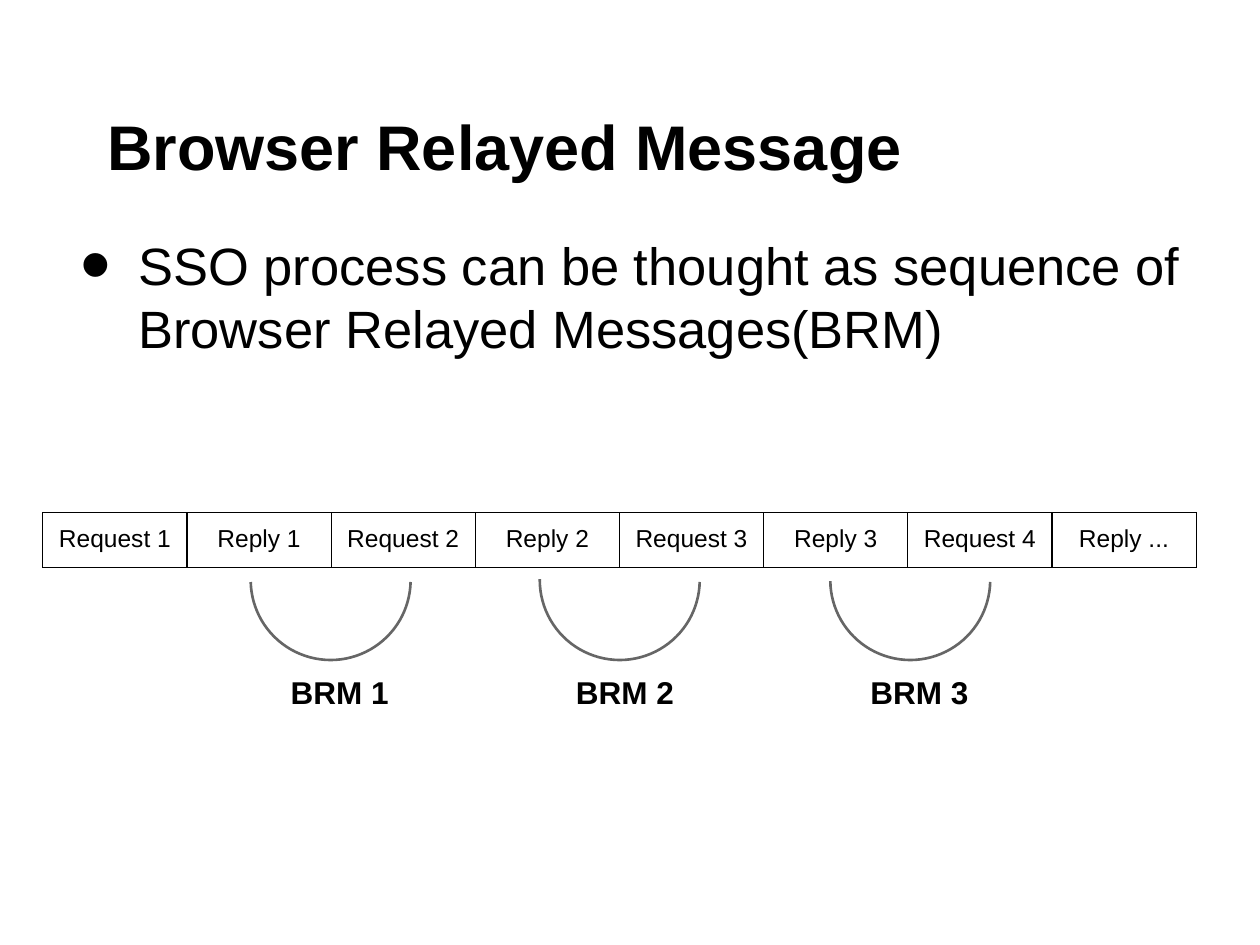
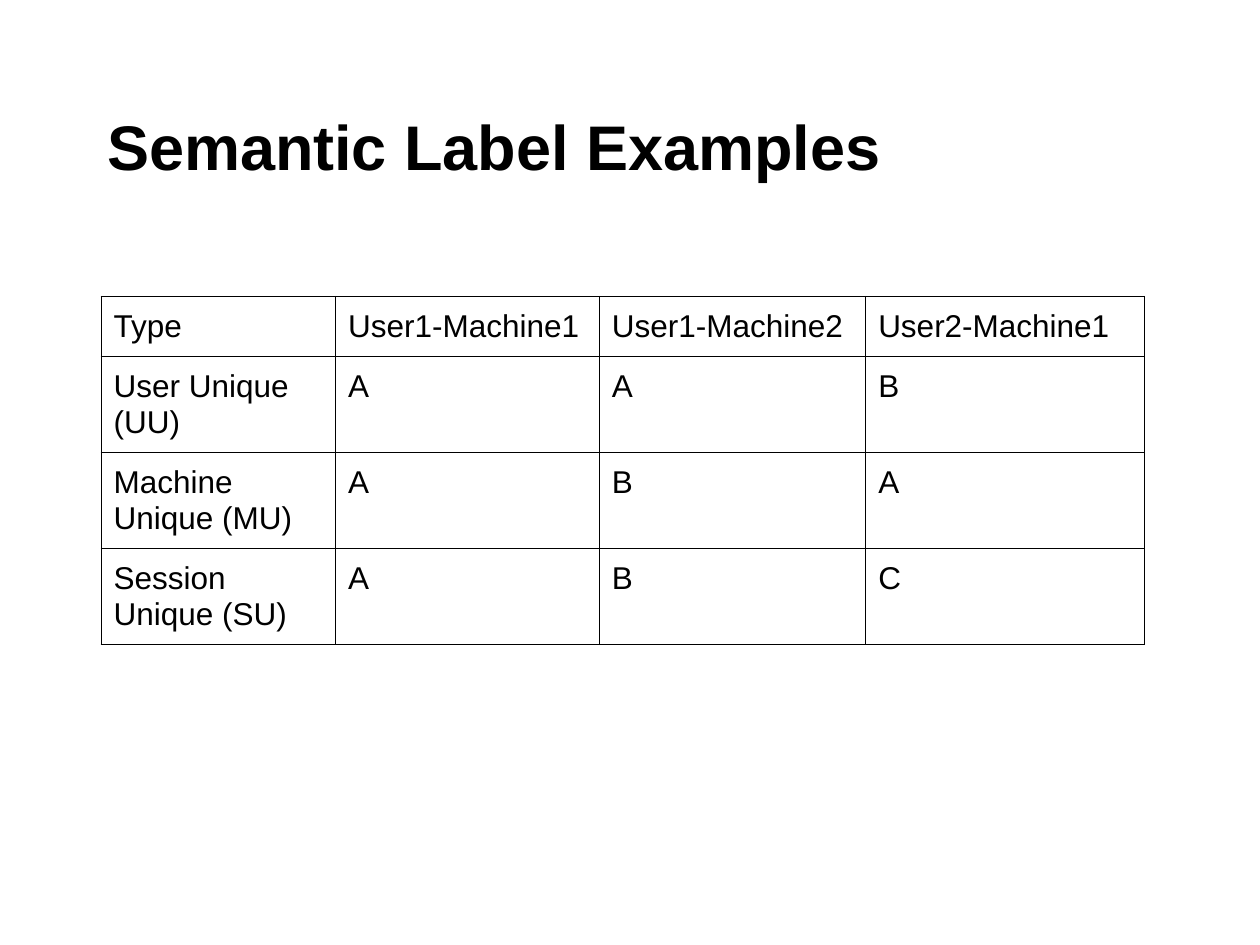
import pptx
import pptx.util
import pptx.oxml
import pptx.oxml.ns
import pptx.dml.color
import pptx.enum.text
import pptx.enum.shapes

Pt = pptx.util.Pt
ALIGN = pptx.enum.text.PP_ALIGN
BLACK = pptx.dml.color.RGBColor(0, 0, 0)
GREY = pptx.dml.color.RGBColor(0x66, 0x66, 0x66)
NONE = pptx.enum.text.MSO_AUTO_SIZE.NONE

THEME = {
    "font": "Arial",
    "ink": BLACK,
    "arc": GREY,
    "title": {"size": Pt(36), "bold": True},
    "body": {"size": Pt(30), "bold": False},
    "label": {"size": Pt(18), "bold": True},
    "cell": {"size": Pt(18), "bold": False},
    "small": {"size": Pt(14), "bold": False},
    "inset": {f"margin_{side}": Pt(7.2) for side in ("left", "top", "right", "bottom")},
}


def write(box, text, style, align=ALIGN.LEFT):
    for name, value in THEME["inset"].items():
        setattr(box, name, value)
    box.word_wrap = True
    para = box.paragraphs[0]
    para.alignment = align
    run = para.add_run()
    run.text = text
    form = {"name": THEME["font"], **THEME[style]}
    for name, value in form.items():
        setattr(run.font, name, value)
    run.font.color.rgb = THEME["ink"]
    return para


def grid(slide, rows, left, top, widths, heights, style, align=ALIGN.LEFT):
    frame = slide.shapes.add_table(
        len(rows), len(widths), Pt(left), Pt(top), Pt(sum(widths)), Pt(sum(heights)))
    table = frame.table
    table.first_row = table.horz_banding = False
    for col, width in zip(table.columns, widths):
        col.width = Pt(width)
    for row, height, words in zip(table.rows, heights, rows):
        row.height = Pt(height)
        for cell, word in zip(row.cells, words):
            for name, value in THEME["inset"].items():
                setattr(cell, name, value)
            write(cell.text_frame, word, style, align)
            cell.fill.background()
            props = cell._tc.get_or_add_tcPr()
            for spot, side in enumerate("LRTB"):
                props.insert(spot, pptx.oxml.parse_xml(
                    f'<a:ln{side} {pptx.oxml.ns.nsdecls("a")} w="{Pt(0.75)}"><a:solidFill>'
                    f'<a:srgbClr val="{THEME["ink"]}"/></a:solidFill></a:ln{side}>'))


deck = pptx.Presentation()
deck.slide_width, deck.slide_height = Pt(720), Pt(540)

slides = []
for text in ("Browser Relayed Message", "Semantic Label Examples"):
    slide = deck.slides.add_slide(deck.slide_layouts[5])
    title = slide.shapes.title
    place = {"left": Pt(36), "top": Pt(21.6), "width": Pt(648), "height": Pt(90)}
    for name, value in place.items():
        setattr(title, name, value)
    frame = title.text_frame
    frame.auto_size = NONE
    frame.vertical_anchor = pptx.enum.text.MSO_ANCHOR.BOTTOM
    para = write(frame, text, "title")
    props = para._p.get_or_add_pPr()
    props.set("marL", "0")
    props.set("indent", str(Pt(18)))
    slides.append(slide)

flow, types = slides

body = flow.shapes.add_textbox(Pt(36), Pt(126), Pt(648), Pt(391))
para = write(
    body.text_frame,
    "SSO process can be thought as sequence of Browser Relayed Messages(BRM)", "body")
para.space_before = Pt(6)
props = para._p.get_or_add_pPr()
props.set("marL", str(Pt(36)))
props.set("indent", str(Pt(-33)))
for mark in ('buSzPct val="167000"', 'buFont typeface="Arial"', 'buChar char="•"'):
    props.append(pptx.oxml.parse_xml(f'<a:{mark} {pptx.oxml.ns.nsdecls("a")}/>'))

steps = [f"{kind} {num}" for num in range(1, 5) for kind in ("Request", "Reply")]
steps[-1] = "Reply ..."
grid(flow, [steps], 24.5, 293, [82.4] * 8, [30.2], "small", ALIGN.CENTER)

arcs = [(143.3, 107.14, 159), (308.5, 108.4, 322), (474.5, 107.54, 490.3)]
for num, (left, end, label) in enumerate(arcs, 1):
    arc = flow.shapes.add_shape(
        pptx.enum.shapes.MSO_SHAPE.ARC, Pt(left), Pt(285.8), Pt(91.4), Pt(91.4))
    arc.adjustments[0], arc.adjustments[1] = 0.84, end
    arc.shadow.inherit = False
    arc.fill.background()
    arc.line.color.rgb = THEME["arc"]
    arc.line.width = Pt(1.5)
    name = flow.shapes.add_textbox(Pt(label), Pt(377.3), Pt(76.3), Pt(44.6))
    write(name.text_frame, f"BRM {num}", "label")

rows = [
    ["Type", "User1-Machine1", "User1-Machine2", "User2-Machine1"],
    ["User Unique (UU)", "A", "A", "B"],
    ["Machine Unique (MU)", "A", "B", "A"],
    ["Session Unique (SU)", "A", "B", "C"],
]
grid(types, rows, 57.8, 169.3, [134, 150.7, 152.2, 159.2], [34.2] + [54.8] * 3, "cell")

deck.save("out.pptx")
